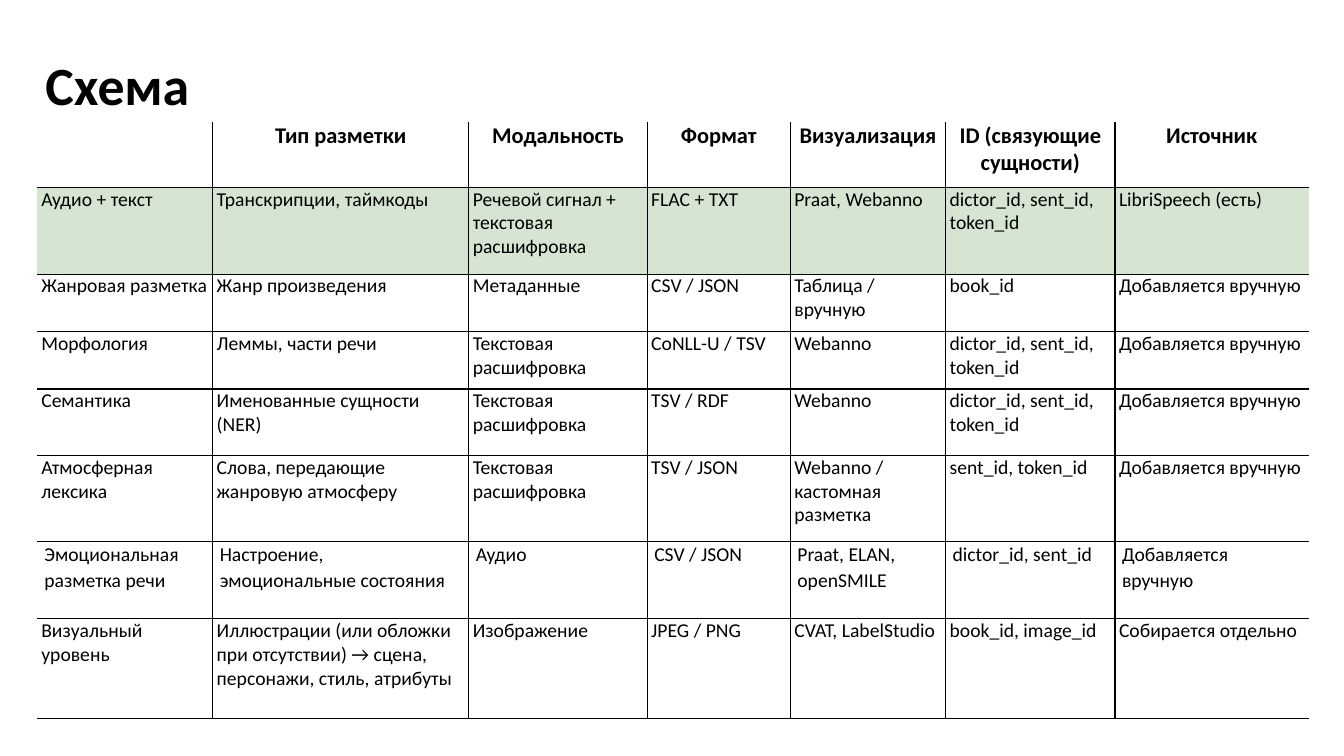
from lxml.etree import SubElement
from pptx import Presentation
from pptx.dml.color import RGBColor
from pptx.enum.text import MSO_ANCHOR, PP_ALIGN
from pptx.oxml.ns import qn
from pptx.util import Inches, Pt

COLORS = {"ink": "000000", "plain": "FFFFFF", "ready": "D5E5D1"}
COLUMN_WIDTHS = [1.74, 2.54, 1.77, 1.42, 1.54, 1.68, 1.92]
ROW_HEIGHTS = [0.65, 0.86, 0.57, 0.57, 0.66, 0.85, 0.77, 0.99]
READY_ROW, EMOTION_ROW = 1, 6
ROWS = [
    ["", "Тип разметки", "Модальность", "Формат", "Визуализация",
     "ID (связующие сущности)", "Источник"],
    ["Аудио + текст", "Транскрипции, таймкоды", "Речевой сигнал + текстовая расшифровка",
     "FLAC + TXT", "Praat, Webanno", "dictor_id, sent_id, token_id", "LibriSpeech (есть)"],
    ["Жанровая разметка", "Жанр произведения", "Метаданные",
     "CSV / JSON", "Таблица / вручную", "book_id", "Добавляется вручную"],
    ["Морфология", "Леммы, части речи", "Текстовая расшифровка",
     "CoNLL-U / TSV", "Webanno", "dictor_id, sent_id, token_id", "Добавляется вручную"],
    ["Семантика", "Именованные сущности (NER)", "Текстовая расшифровка",
     "TSV / RDF", "Webanno", "dictor_id, sent_id, token_id", "Добавляется вручную"],
    ["Атмосферная лексика", "Слова, передающие жанровую атмосферу", "Текстовая расшифровка",
     "TSV / JSON", "Webanno / кастомная разметка", "sent_id, token_id", "Добавляется вручную"],
    ["Эмоциональная разметка речи", "Настроение, эмоциональные состояния", "Аудио",
     "CSV / JSON", "Praat, ELAN, openSMILE", "dictor_id, sent_id", "Добавляется вручную"],
    ["Визуальный уровень",
     "Иллюстрации (или обложки при отсутствии) → сцена, персонажи, стиль, атрибуты",
     "Изображение", "JPEG / PNG", "CVAT, LabelStudio", "book_id, image_id",
     "Собирается отдельно"],
]


def format_font(font, size, bold):
    for name, value in {"name": "Calibri", "size": Pt(size), "bold": bold}.items():
        setattr(font, name, value)
    font.color.rgb = RGBColor.from_string(COLORS["ink"])


def add_borders(cell, sides):
    """Draw a 1 pt line on each side mapped to True and clear the others."""
    properties = cell._tc.get_or_add_tcPr()
    for side, visible in sides.items():
        line = SubElement(properties, qn(f"a:ln{side}"), w=str(Pt(1)))
        if visible:
            fill = SubElement(line, qn("a:solidFill"))
            SubElement(fill, qn("a:srgbClr"), val=COLORS["ink"])
        else:
            SubElement(line, qn("a:noFill"))


deck = Presentation()
deck.slide_width, deck.slide_height = Inches(13.33), Inches(7.5)
page = deck.slides.add_slide(deck.slide_layouts[5])

title = page.shapes.title
title_box = {"left": 0.35, "top": 0.45, "width": 10.27, "height": 0.77}
for name, value in title_box.items():
    setattr(title, name, Inches(value))
title.text_frame.text = "Схема"
title.text_frame.vertical_anchor = MSO_ANCHOR.MIDDLE
title_para = title.text_frame.paragraphs[0]
title_para.alignment = PP_ALIGN.LEFT
format_font(title_para.runs[0].font, 38.4, True)

table = page.shapes.add_table(
    len(ROWS), len(COLUMN_WIDTHS), Inches(0.37), Inches(1.21),
    Inches(sum(COLUMN_WIDTHS)), Inches(sum(ROW_HEIGHTS))).table
table.first_row = table.horz_banding = False
for column, width in zip(table.columns, COLUMN_WIDTHS):
    column.width = Inches(width)
for row, height in zip(table.rows, ROW_HEIGHTS):
    row.height = Inches(height)

for row_number, texts in enumerate(ROWS):
    is_header = row_number == 0
    is_emotion = row_number == EMOTION_ROW
    side_margin = Inches(0.07 if is_emotion else 0.04)
    margins = {"margin_left": side_margin, "margin_right": side_margin,
               "margin_top": 0, "margin_bottom": 0}
    for column_number, text in enumerate(texts):
        cell = table.cell(row_number, column_number)
        for name, value in margins.items():
            setattr(cell, name, value)
        add_borders(cell, {"L": column_number > 0, "R": column_number < len(texts) - 1,
                           "T": not is_header, "B": True})
        cell.fill.solid()
        shade = COLORS["ready" if row_number == READY_ROW else "plain"]
        cell.fill.fore_color.rgb = RGBColor.from_string(shade)
        if not text:
            continue
        cell.text = text
        para = cell.text_frame.paragraphs[0]
        para.space_after = Pt(8)
        para.alignment = PP_ALIGN.CENTER if is_header else PP_ALIGN.LEFT
        if is_emotion:
            para.line_spacing = 1.07
        format_font(para.runs[0].font, 16 if is_header else 14, is_header)

deck.save("out.pptx")
